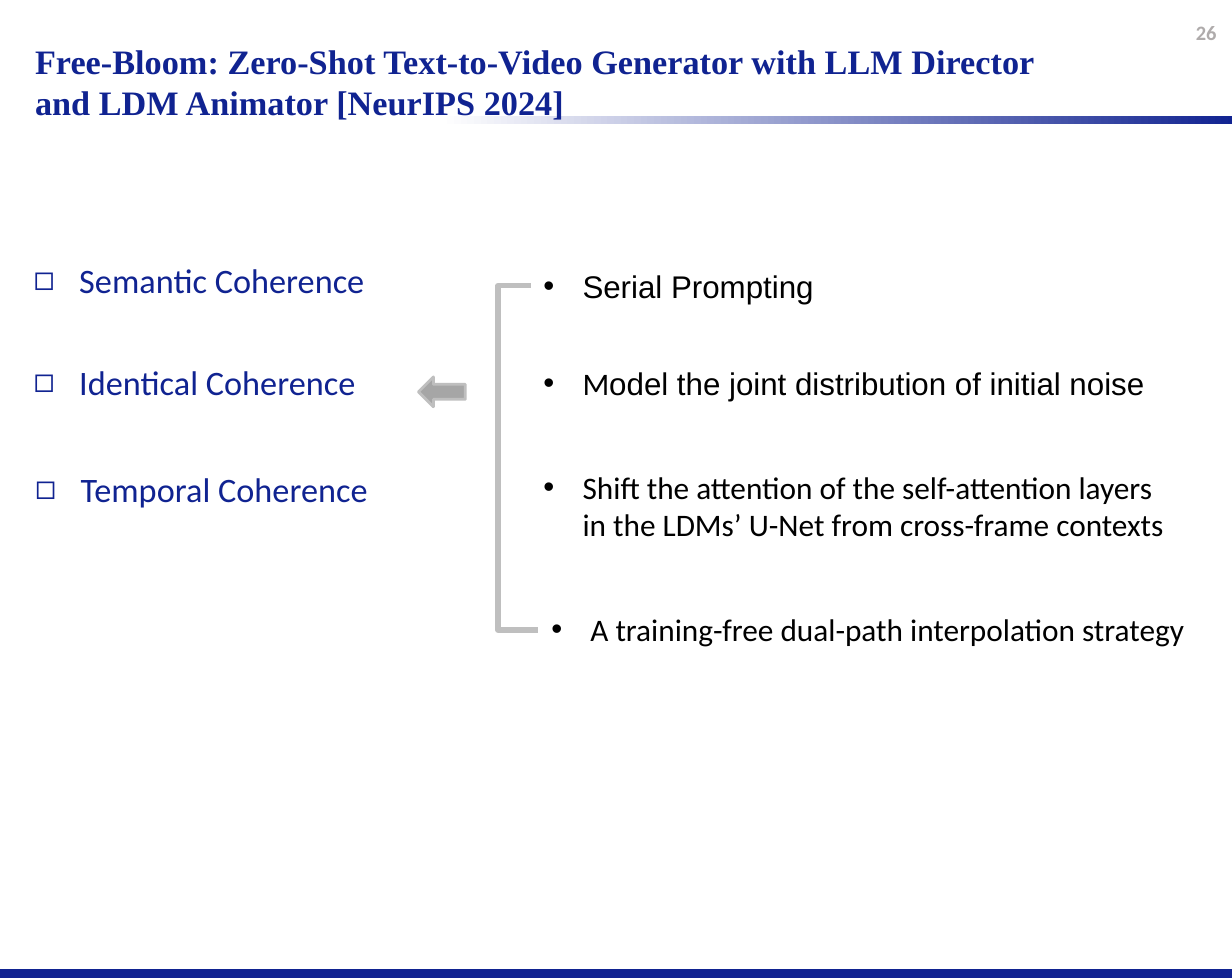
from dataclasses import dataclass

from lxml.etree import SubElement
from pptx import Presentation
from pptx.dml.color import RGBColor
from pptx.enum.shapes import MSO_CONNECTOR, MSO_SHAPE
from pptx.enum.text import MSO_ANCHOR as ANCHOR, MSO_AUTO_SIZE as AUTO, PP_ALIGN as ALIGN
from pptx.oxml.ns import qn
from pptx.util import Inches, Pt

TITLE = ("Free-Bloom: Zero-Shot Text-to-Video Generator with LLM Director "
         "and LDM Animator [NeurIPS 2024]")
PAGE = "26"
# text, (left, top, width, height)
GOALS = [
    ("Semantic Coherence", (0.16, 1.94, 2.76, 0.42)),
    ("Identical Coherence", (0.16, 2.72, 2.70, 0.42)),
    ("Temporal Coherence", (0.17, 3.54, 2.78, 0.42)),
]
# runs of (text, font), (left, top, width, height)
METHODS = [
    ([("Serial Prompting", "Arial")], (4.07, 2.00, 4.74, 0.39)),
    ([("M", "Calibri"), ("odel the joint distribution of initial noise", "Arial")],
     (4.07, 2.74, 5.14, 0.39)),
    ([("Shift the attention of the self-attention layers in the LDMs’ U-Net "
       "from cross-frame contexts", "Calibri")], (4.07, 3.54, 5.02, 0.68)),
    ([("A training-free dual-path interpolation strategy", "Calibri")],
     (4.13, 4.63, 5.39, 0.39)),
]
BRACKET_START, BRACKET_END, BRACKET_X = (4.07, 2.19), (4.13, 4.83), 3.82


@dataclass(frozen=True)
class Theme:
    navy: str = "102391"
    bar: str = "112391"
    white: str = "FFFFFF"
    black: str = "000000"
    page: str = "AFABAB"
    bracket: str = "BFBFBF"
    arrow: str = "A6A6A6"
    heading: str = "Times New Roman"
    body: str = "Calibri"
    title_size: float = 18.9
    method_size: float = 17.3
    page_size: float = 11.3


T = Theme()


def rgb(value):
    return RGBColor.from_string(value)


def add_text(slide, box, runs, size, color, bold=False, wrap=True, bullet=None, indent=0):
    """Add a one-paragraph text box; runs are (text, font) pairs."""
    sp = slide.shapes.add_textbox(*map(Inches, box))
    tf = sp.text_frame
    tf.word_wrap = wrap
    tf.auto_size = AUTO.SHAPE_TO_FIT_TEXT
    p = tf.paragraphs[0]
    if bullet:
        pPr = p._p.get_or_add_pPr()
        pPr.set("marL", str(Inches(indent)))
        pPr.set("indent", str(-Inches(indent)))
        SubElement(pPr, qn("a:buFont")).set("typeface", "Arial")
        SubElement(pPr, qn("a:buChar")).set("char", bullet)
    for text, font in runs:
        r = p.add_run()
        r.text = text
        r.font.name, r.font.size, r.font.bold = font, Pt(size), bold
        r.font.color.rgb = rgb(color)
    return sp


def add_block(slide, kind, box, fill=None, line=None):
    sp = slide.shapes.add_shape(kind, *map(Inches, box))
    sp.shadow.inherit = False
    if fill:
        sp.fill.solid()
        sp.fill.fore_color.rgb = rgb(fill)
    if line:
        sp.line.color.rgb = rgb(line)
        sp.line.width = Pt(1.5)
    else:
        sp.line.fill.background()
    return sp


def add_bracket(slide):
    """Elbow connector whose middle leg lies left of both ends."""
    (x1, y1), (x2, y2) = BRACKET_START, BRACKET_END
    line = slide.shapes.add_connector(
        MSO_CONNECTOR.ELBOW, *map(Inches, (x1, y1, x2, y2)))
    line.line.color.rgb = rgb(T.bracket)
    line.line.width = Pt(3)
    spPr = line._element.spPr
    SubElement(spPr, qn("a:effectLst"))
    guide = SubElement(spPr.find(qn("a:prstGeom")).find(qn("a:avLst")), qn("a:gd"))
    guide.set("name", "adj1")
    guide.set("fmla", f"val {round((BRACKET_X - x1) / (x2 - x1) * 100000)}")


def main():
    prs = Presentation()
    prs.slide_width, prs.slide_height = Inches(9.45), Inches(7.5)
    slide = prs.slides.add_slide(prs.slide_layouts[6])

    add_block(slide, MSO_SHAPE.RECTANGLE, (0, 7.44, 9.45, 0.05), T.bar, T.bar)
    rule = add_block(slide, MSO_SHAPE.RECTANGLE, (3.38, 0.89, 6.09, 0.06))
    rule.fill.gradient()
    rule.fill.gradient_angle = 0
    for stop, color in zip(rule.fill.gradient_stops, (T.white, T.bar)):
        stop.color.rgb = rgb(color)

    page = add_text(slide, (8.98, 0.05, 0.45, 0.4), [(PAGE, T.body)],
                    T.page_size, T.page, bold=True)
    page.text_frame.auto_size = AUTO.NONE
    page.text_frame.vertical_anchor = ANCHOR.MIDDLE
    page.text_frame.paragraphs[0].alignment = ALIGN.RIGHT
    add_text(slide, (0.17, 0.26, 7.91, 0.73), [(TITLE, T.heading)],
             T.title_size, T.navy, bold=True)

    for text, box in GOALS:
        add_text(slide, box, [(text, T.body)], T.title_size, T.navy,
                 wrap=False, bullet="◻", indent=0.35)
    for runs, box in METHODS:
        add_text(slide, box, runs, T.method_size, T.black, bullet="•", indent=0.3)

    add_bracket(slide)
    add_block(slide, MSO_SHAPE.LEFT_ARROW, (3.21, 2.89, 0.36, 0.23), T.arrow, T.bracket)
    prs.save("out.pptx")


if __name__ == "__main__":
    main()
